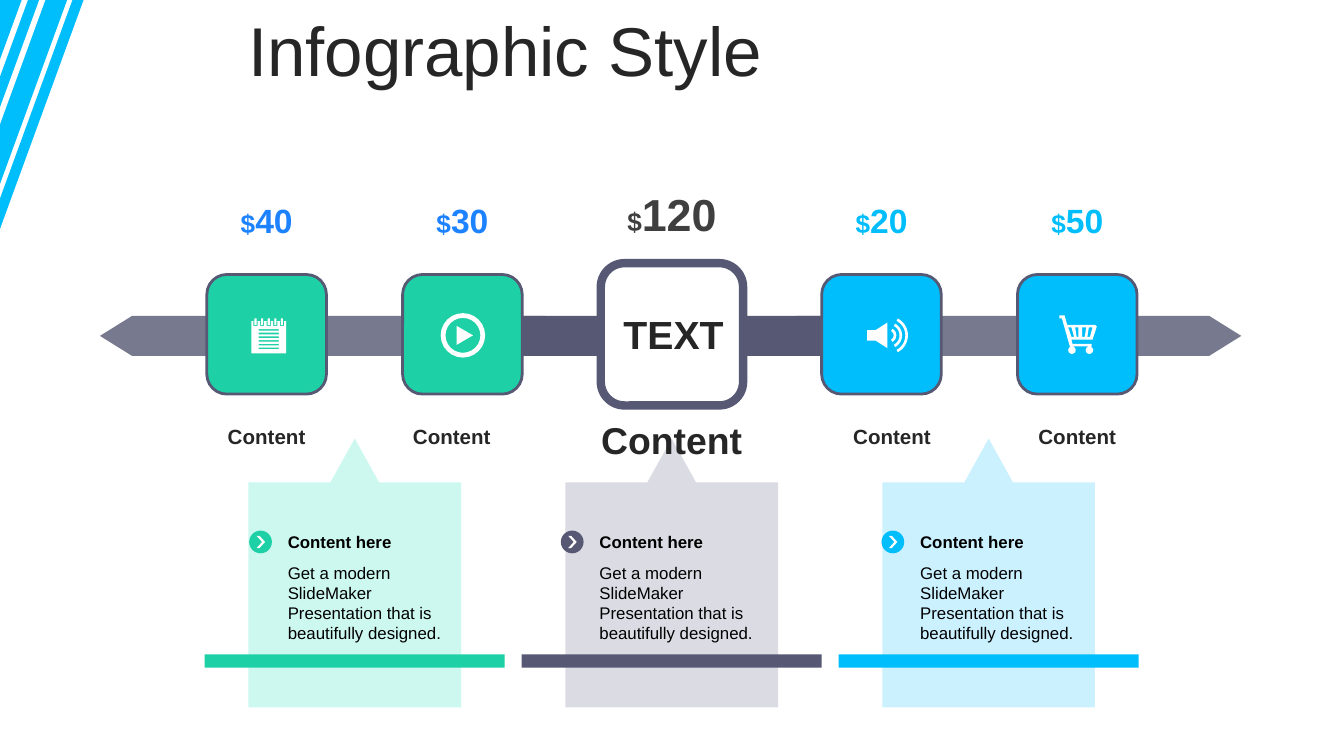
from dataclasses import dataclass
from math import cos, radians, sin

from lxml.etree import SubElement
from pptx import Presentation
from pptx.dml.color import RGBColor as RGB
from pptx.enum.shapes import MSO_SHAPE as Kind
from pptx.enum.text import MSO_ANCHOR as Anchor, MSO_AUTO_SIZE as Fit, PP_ALIGN as Align
from pptx.oxml.ns import qn
from pptx.util import Cm, Pt


@dataclass(frozen=True)
class Theme:
    font: str = "Arial"
    ink: str = "262626"
    black: str = "000000"
    gray: str = "3F3F3F"
    white: str = "FFFFFF"
    slate: str = "565874"
    mist: str = "DBDBE4"
    green: str = "1ED0A6"
    mint: str = "CDF8EF"
    sky: str = "00BDFB"
    ice: str = "CBF1FF"
    blue: str = "1C82FF"
    title: int = 37
    hub: int = 21
    big: int = 24
    price: int = 18
    sign: int = 14
    main: int = 20
    label: int = 11
    body: int = 9


T = Theme()


def paint(shape, fill, line=None, width=0):
    shape.shadow.inherit = False
    shape.fill.solid()
    shape.fill.fore_color.rgb = RGB.from_string(fill)
    if line:
        shape.line.color.rgb = RGB.from_string(line)
        shape.line.width = Pt(width)
    else:
        shape.line.fill.background()
    return shape


def block(shapes, kind, box, fill, line=None, width=0):
    return paint(shapes.add_shape(kind, *map(Cm, box)), fill, line, width)


def outline(shapes, paths, fill, x=0, y=0):
    """Draw closed paths as one shape, with nested paths as holes."""
    spots = [[(Cm(x + a), Cm(y + b)) for a, b in path] for path in paths]
    pen = shapes.build_freeform(*spots[0][0])
    for i, path in enumerate(spots):
        if i:
            pen.move_to(*path[0])
        pen.add_line_segments(path[1:], close=True)
    return paint(pen.convert_to_shape(), fill)


def style(run, size, color, bold):
    font = run.font
    font.name, font.size, font.bold = T.font, Pt(size), bold
    font.color.rgb = RGB.from_string(color)


def frame(shape, anchor):
    tf = shape.text_frame
    tf.word_wrap, tf.auto_size, tf.vertical_anchor = True, Fit.NONE, anchor
    tf.margin_left = tf.margin_right = Cm(0.18)
    tf.margin_top = tf.margin_bottom = Cm(0.1)
    return tf


def label(shapes, box, parts, color, bold=True, align=Align.CENTER, anchor=Anchor.MIDDLE):
    """Add a text box with one paragraph of (text, size) parts."""
    para = frame(shapes.add_textbox(*map(Cm, box)), anchor).paragraphs[0]
    para.alignment = align
    for text, size in parts:
        run = para.add_run()
        run.text = text
        style(run, size, color, bold)


def rect(x, y, w, h):
    return [(x, y), (x + w, y), (x + w, y + h), (x, y + h)]


def arc(x, y, r, start, end, steps=24):
    turns = [radians(start + (end - start) * i / steps) for i in range(steps + 1)]
    return [(x + r * cos(t), y + r * sin(t)) for t in turns]


def disc(x, y, r):
    return arc(x, y, r, 0, 345, 23)


def pad():
    mid = 0.04
    rings = [mid - 0.25 + 0.125 * i for i in range(5)]
    return ([rect(mid - 0.33, -0.25, 0.66, 0.61)]
            + [rect(x - 0.04, -0.25, 0.08, 0.09) for x in rings]
            + [rect(x - 0.02, -0.3, 0.04, 0.12) for x in rings]
            + [rect(mid - 0.19, -0.1 + 0.07 * i, 0.38, 0.03) for i in range(6)])


def play():
    return [disc(0.01, 0.02, 0.42), disc(0.01, 0.02, 0.33),
            [(-0.11, -0.16), (0.2, 0.02), (-0.11, 0.2)]]


def horn():
    cone = [(-0.27, -0.1), (-0.11, -0.1), (0.11, -0.24),
            (0.11, 0.24), (-0.11, 0.1), (-0.27, 0.1)]
    waves = [arc(0.14, 0, r, -62, 62) + arc(0.14, 0, r - 0.05, 62, -62)
             for r in (0.14, 0.25, 0.36)]
    return [[(x, y + 0.02) for x, y in path] for path in [cone] + waves]


def cart():
    body = [(-0.34, -0.36), (-0.24, -0.36), (-0.19, -0.18), (0.34, -0.18), (0.37, -0.15),
            (0.29, 0.1), (-0.11, 0.1), (-0.09, 0.18), (0.27, 0.18), (0.27, 0.23),
            (-0.14, 0.23), (-0.29, -0.3), (-0.34, -0.3)]
    gaps = [(-0.17, -0.11, -0.06, -0.11), (-0.04, -0.01, 0.02, 0.02),
            (0.09, 0.09, 0.14, 0.17), (0.22, 0.19, 0.24, 0.29)]
    slots = [list(zip(xs, (-0.13, 0.05, 0.05, -0.13))) for xs in gaps]
    return [body, disc(-0.1, 0.3, 0.07), disc(0.23, 0.3, 0.07)] + slots


def corner(shapes):
    """Slanted stripes in the top left corner."""
    for near, far in ((0, 0.41), (0.53, 0.74), (0.86, 1.27), (1.37, 1.58)):
        path = [(near, 0), (far, 0), (0, far * 2.74), (0, near * 2.74)]
        outline(shapes, [path if near else path[:3]], T.sky)


def title(slide, box, text):
    shape = slide.shapes.title
    shape.left, shape.top, shape.width, shape.height = map(Cm, box)
    tf = frame(shape, Anchor.MIDDLE)
    tf.text = text
    para = tf.paragraphs[0]
    para.alignment, para.line_spacing = Align.CENTER, 0.8
    style(para.runs[0], T.title, T.ink, False)


def arrow(shapes, tip, mid, length):
    """Half of the axis; a negative length runs to the left of the tip."""
    neck = 0.61 if length > 0 else -0.61
    path = [(0, 0), (neck, -0.38), (length, -0.38), (length, 0.38), (neck, 0.38)]
    shape = outline(shapes, [path], T.slate, tip, mid)
    tint = next(shape.fill._xPr.iter(qn("a:srgbClr")))
    SubElement(tint, qn("a:alpha"), val="80000")


def stop(shapes, x, mid, fill, icon, cost, color, shift):
    """Tile centred on x and mid, with its price above and caption below."""
    size = 2.26
    block(shapes, Kind.ROUNDED_RECTANGLE, (x - size / 2, mid - size / 2, size, size),
          fill, T.slate, 1.5)
    outline(shapes, icon, T.white, x, mid)
    label(shapes, (x - 1.08, mid - 2.64, 2.16, 0.97), [("$", T.sign), (cost, T.price)], color)
    label(shapes, (x + shift - 1.08, mid + 1.6, 2.16, 0.64), [("Content", T.label)], T.ink)


def hub(shapes, x, mid):
    size = 2.69
    block(shapes, Kind.ROUNDED_RECTANGLE, (x - size / 2, mid - size / 2, size, size),
          T.white, T.slate, 4.5)
    label(shapes, (x - 1.29, mid - 0.56, 2.64, 1.09), [("TEXT", T.hub)], T.ink)
    label(shapes, (x - 1.32, mid - 2.89, 2.64, 1.22), [("$", T.sign), ("120", T.big)], T.gray)
    label(shapes, (x - 1.73, mid + 1.45, 3.45, 1.07), [("Content", T.main)], T.ink)


def panel(shapes, x, y, w, h, pale, dark, start):
    """Pointed card with a bar across it; its text begins at start."""
    half, tip, neck, head = 2.01, 0.46, 0.83, y + 1.66
    path = [(0, 0), (tip, neck), (half, neck), (half, h), (-half, h), (-half, neck), (-tip, neck)]
    outline(shapes, [path], pale, x + w / 2, y)
    block(shapes, Kind.RECTANGLE, (x, y + 4.08, w, 0.25), dark)
    block(shapes, Kind.OVAL, (start, head + 0.08, 0.43, 0.43), dark)
    mark = block(shapes, Kind.CHEVRON, (start + 0.14, head + 0.18, 0.16, 0.23), T.white)
    mark.adjustments[0] = 0.65
    label(shapes, (start + 0.55, head, 2.62, 0.58), [("Content here", T.body)],
          T.black, align=Align.LEFT)
    label(shapes, (start + 0.55, head + 0.58, 3.6, 1.73),
          [("Get a modern SlideMaker Presentation that is beautifully designed.", T.body)],
          T.black, False, Align.LEFT, Anchor.TOP)


def main():
    deck = Presentation()
    deck.slide_width, deck.slide_height = Cm(25.4), Cm(14.29)
    slide = deck.slides.add_slide(deck.slide_layouts[5])
    shapes = slide.shapes
    mid = 6.32

    corner(shapes)
    title(slide, (0.51, 0.51, 18.08, 1.14), "Infographic Style")
    arrow(shapes, 23.46, mid + 0.03, -8.41)
    arrow(shapes, 1.89, mid + 0.03, 8.41)
    block(shapes, Kind.RECTANGLE, (9.47, mid - 0.35, 7.52, 0.76), T.slate)

    cards = ((T.mint, T.green, 4.71), (T.mist, T.slate, 10.6), (T.ice, T.sky, 16.66))
    for i, card in enumerate(cards):
        panel(shapes, 3.87 + 5.99 * i, 8.29, 5.67, 5.08, *card)

    hub(shapes, 12.7, mid)
    for x, fill, icon, cost, color, shift in (
            (5.04, T.green, pad(), "40", T.blue, 0),
            (8.74, T.green, play(), "30", T.blue, -0.2),
            (16.66, T.sky, horn(), "20", T.sky, 0.2),
            (20.36, T.sky, cart(), "50", T.sky, 0)):
        stop(shapes, x, mid, fill, icon, cost, color, shift)
    deck.save("out.pptx")


if __name__ == "__main__":
    main()
